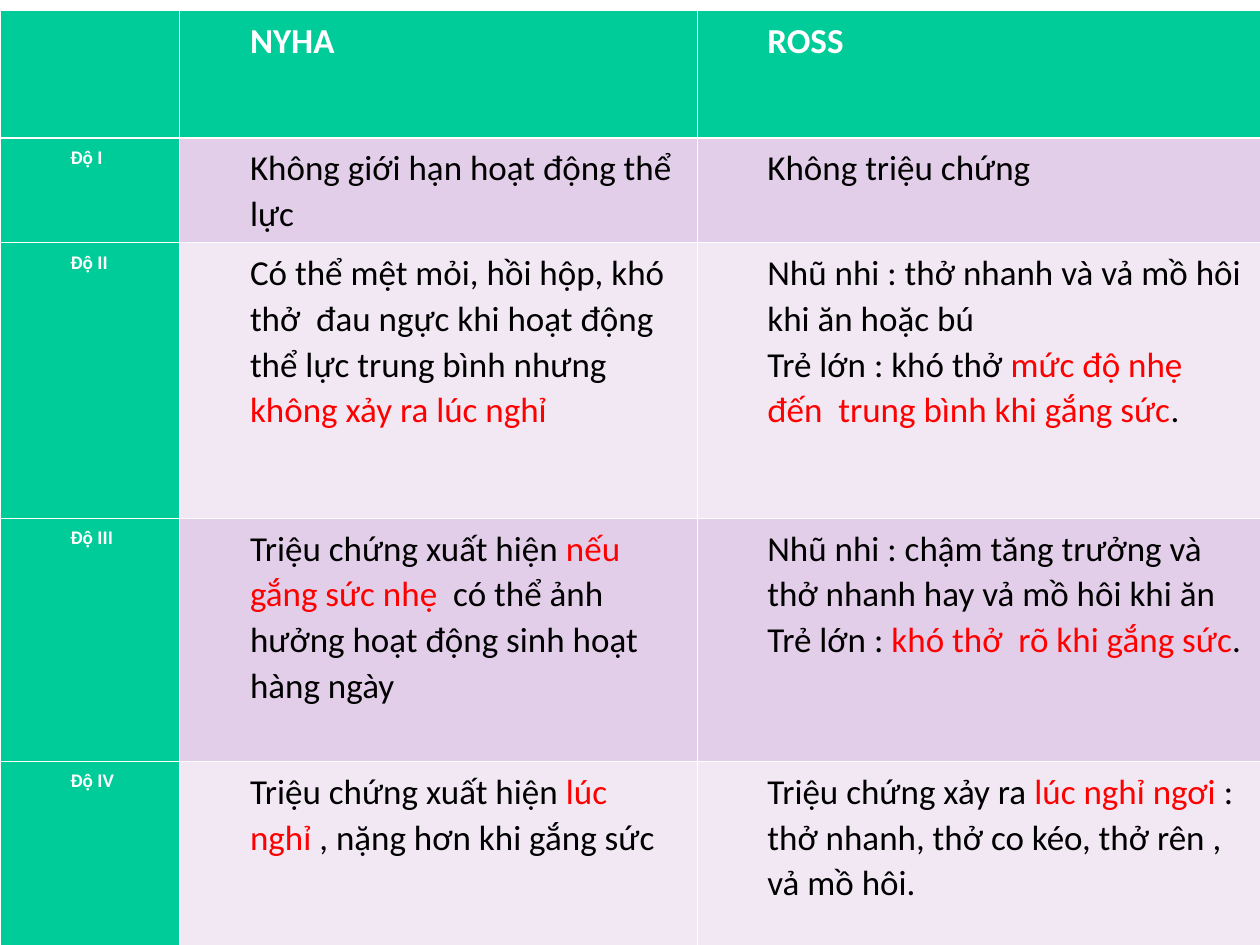
"""Build a slide comparing the NYHA and ROSS heart failure grades."""
from lxml.etree import SubElement
from pptx import Presentation
from pptx.dml.color import RGBColor
from pptx.oxml.ns import qn
from pptx.util import Cm, Pt

GREEN, WHITE, BLACK, RED = "00CC99", "FFFFFF", "000000", "FF0000"
BANDS = ["E3CEE9", "F1E8F4"]
COLS = [3.62, 10.43, 11.35]
ROWS = [2.57, 2.03, 5.56, 4.9, 3.71]
MARK = "*"
GRADES = [
    ("", ["NYHA"], ["ROSS"]),
    ("Độ I", ["Không giới hạn hoạt động thể lực"], ["Không triệu chứng"]),
    ("Độ II",
     ["Có thể mệt mỏi, hồi hộp, khó thở  đau ngực khi hoạt động thể lực "
      "trung bình nhưng *không xảy ra lúc nghỉ*"],
     ["Nhũ nhi : thở nhanh và vả mồ hôi khi ăn hoặc bú",
      "Trẻ lớn : khó thở *mức độ nhẹ  đến  trung bình khi gắng sức*."]),
    ("Độ III",
     ["Triệu chứng xuất hiện *nếu gắng sức nhẹ*  có thể ảnh hưởng "
      "hoạt động sinh hoạt hàng ngày"],
     ["Nhũ nhi : chậm tăng trưởng và thở nhanh hay vả mồ hôi khi ăn",
      "Trẻ lớn : *khó thở  rõ khi gắng sức*."]),
    ("Độ IV",
     ["Triệu chứng xuất hiện *lúc nghỉ *, nặng hơn khi gắng sức"],
     ["Triệu chứng xảy ra *lúc nghỉ ngơi *: thở nhanh, thở co kéo, "
      "thở rên , vả mồ hôi."]),
]


def paint(target, code):
    target.rgb = RGBColor.from_string(code)


def edge(cell, side, width):
    line = SubElement(cell._tc.get_or_add_tcPr(), qn(f"a:ln{side}"), w=str(Pt(width)))
    SubElement(SubElement(line, qn("a:solidFill")), qn("a:srgbClr"), val=WHITE)


def frame(cell, row):
    thick = {(0, "B"), (1, "T")}
    for side in "LRTB":
        edge(cell, side, 1.47 if (row, side) in thick else 0.45)


def write(cell, lines, size, color, bold):
    cell.margin_left = cell.margin_right = Cm(0.15)
    cell.margin_top = cell.margin_bottom = Cm(0.13)
    for i, line in enumerate(lines):
        para = cell.text_frame.add_paragraph() if i else cell.text_frame.paragraphs[0]
        para.line_spacing = 1.07
        para._p.get_or_add_pPr().set("marL", str(Cm(1.27)))
        for j, part in enumerate(line.split(MARK)):
            if part:
                run = para.add_run()
                run.text = part
                font = run.font
                font.name, font.size, font.bold = "Calibri", Pt(size), bold
                paint(font.color, RED if j % 2 else color)


def main():
    deck = Presentation()
    deck.slide_width, deck.slide_height = Cm(25.4), Cm(19.05)
    slide = deck.slides.add_slide(deck.slide_layouts[6])
    table = slide.shapes.add_table(
        len(ROWS), len(COLS), Cm(0), Cm(0.21), Cm(sum(COLS)), Cm(sum(ROWS))).table
    for col, width in zip(table.columns, COLS):
        col.width = Cm(width)
    for r, (grade, *notes) in enumerate(GRADES):
        table.rows[r].height = Cm(ROWS[r])
        for c, lines in enumerate([[grade], *notes]):
            cell = table.cell(r, c)
            head = r == 0 or c == 0
            frame(cell, r)
            cell.fill.solid()
            paint(cell.fill.fore_color, GREEN if head else BANDS[(r - 1) % 2])
            write(cell, lines, 20 if c else 11, WHITE if head else BLACK, head)
    deck.save("out.pptx")


if __name__ == "__main__":
    main()
